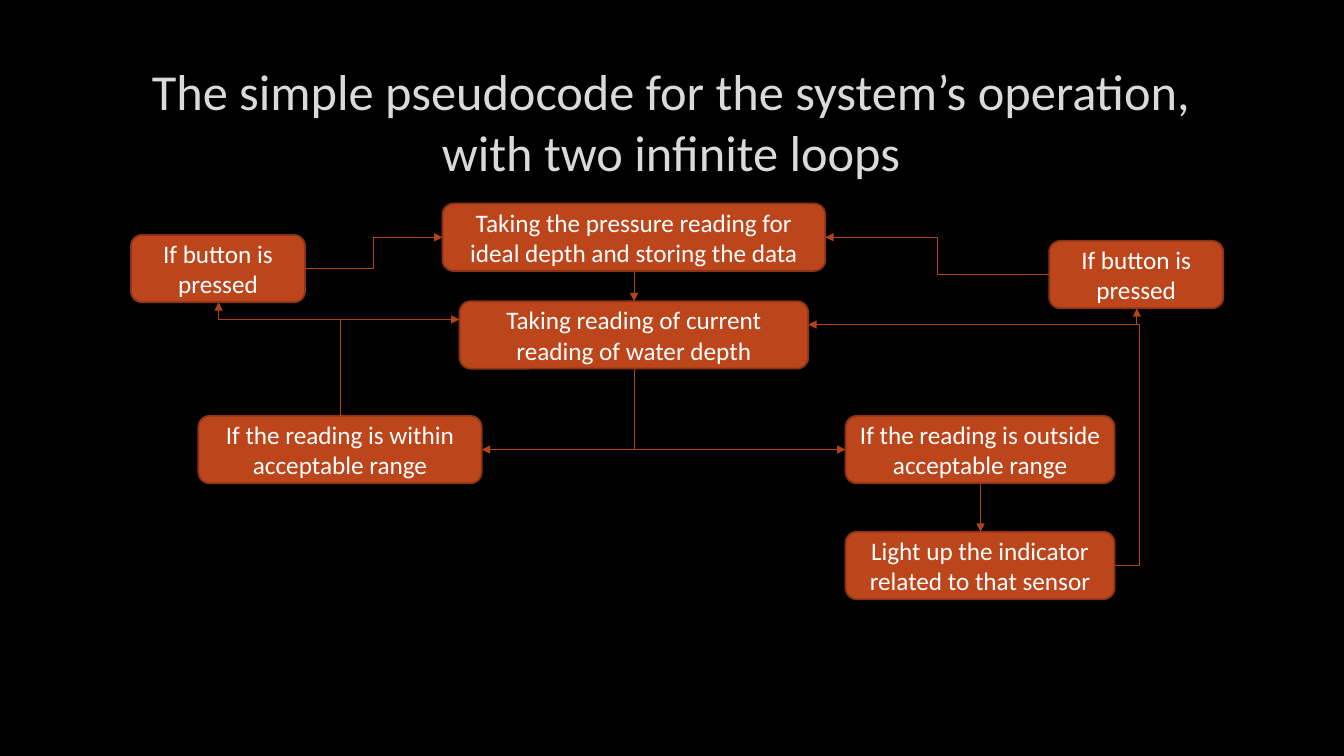
from pptx import Presentation
from pptx.dml.color import RGBColor
from pptx.enum import shapes, text
from pptx.oxml.ns import qn
from pptx.util import Cm, Pt
from lxml import etree

BLACK = RGBColor(0x00, 0x00, 0x00)
WHITE = RGBColor(0xFF, 0xFF, 0xFF)
TITLE_GREY = RGBColor(0xDA, 0xDA, 0xDA)
BOX_FILL = RGBColor(0xBC, 0x45, 0x1B)
BOX_EDGE = RGBColor(0x8B, 0x33, 0x14)
ARROW = RGBColor(0xB4, 0x42, 0x1A)

TITLE = "The simple pseudocode for the system’s operation, with two infinite loops"

STEP_HEIGHT = 1.7  # cm, holds two lines of 18 pt
# text, left, top, width in cm
STEPS = [
    ("Taking the pressure reading for ideal depth and storing the data",
     11.15, 5.13, 9.65),
    ("Taking reading of current reading of water depth", 11.58, 7.59, 8.79),
    ("If the reading is within acceptable range", 5, 10.48, 7.14),
    ("If the reading is outside acceptable range", 21.31, 10.48, 6.78),
    ("Light up the indicator related to that sensor", 21.31, 13.4, 6.78),
    ("If button is pressed", 3.3, 5.92, 4.39),
    ("If button is pressed", 26.44, 6.07, 4.39),
]

# x and y of start and end in cm
STRAIGHT = [
    (15.98, 6.83, 15.98, 7.59),   # pressure to current reading
    (24.71, 12.18, 24.71, 13.4),  # outside range to indicator
    (28.65, 8.18, 28.65, 7.77),   # loop to right button
]
# Corners run sideways first, so these point back at their start
CORNERS_TO_START = [
    (12.14, 11.33, 15.98, 9.29),  # current reading to within range
    (21.31, 11.33, 15.98, 9.29),  # current reading to outside range
    (11.58, 8.05, 8.58, 10.48),   # within range to current reading
]
CORNER_TO_LEFT_BUTTON = (8.58, 8.05, 5.51, 7.62)
BUTTONS_TO_PRESSURE = [
    (26.44, 6.92, 20.8, 5.98),
    (7.69, 6.77, 11.15, 5.98),
]
INDICATOR_LOOP = (28.09, 14.25, 20.37, 8.18)
INDICATOR_BEND = -8200  # bend lies 8.2 % of the width outside the box


def write_text(sp, words, size, color):
    tf = sp.text_frame
    tf.word_wrap = True
    tf.vertical_anchor = text.MSO_ANCHOR.MIDDLE
    tf.margin_top = tf.margin_bottom = 0
    p = tf.paragraphs[0]
    p.alignment = text.PP_ALIGN.CENTER
    r = p.add_run()
    r.text = words
    r.font.color.rgb = color
    for name, value in {"name": "Calibri", "size": Pt(size)}.items():
        setattr(r.font, name, value)


def add_title(s):
    sp = s.shapes.add_textbox(Cm(2.54), Cm(1.7), Cm(28.75), Cm(2.69))
    write_text(sp, TITLE, 36, TITLE_GREY)


def add_step(s, words, left, top, width):
    sp = s.shapes.add_shape(shapes.MSO_SHAPE.ROUNDED_RECTANGLE, Cm(left),
                            Cm(top), Cm(width), Cm(STEP_HEIGHT))
    sp.shadow.inherit = False
    sp.fill.solid()
    sp.fill.fore_color.rgb = BOX_FILL
    sp.line.color.rgb = BOX_EDGE
    sp.line.width = Pt(1.25)
    write_text(sp, words, 18, WHITE)


def add_arrow(s, points, preset="line", arrow_end="tailEnd", bend=None):
    """Draw a connector; tailEnd puts the arrowhead at its last point."""
    cxn = s.shapes.add_connector(shapes.MSO_CONNECTOR.STRAIGHT,
                                 *(Cm(v) for v in points))
    cxn.line.color.rgb = ARROW
    cxn.line.width = Pt(0.75)
    sp_pr = cxn._element.spPr
    etree.SubElement(sp_pr.find(qn("a:ln")), qn("a:" + arrow_end),
                     type="triangle")
    etree.SubElement(sp_pr, qn("a:effectLst"))
    geom = sp_pr.find(qn("a:prstGeom"))
    geom.set("prst", preset)
    if bend is not None:
        guides = geom.find(qn("a:avLst"))
        if guides is None:
            guides = etree.SubElement(geom, qn("a:avLst"))
        etree.SubElement(guides, qn("a:gd"), name="adj1", fmla=f"val {bend}")


def main():
    prs = Presentation()
    prs.slide_width, prs.slide_height = Cm(33.87), Cm(19.05)
    s = prs.slides.add_slide(prs.slide_layouts[6])
    s.background.fill.solid()
    s.background.fill.fore_color.rgb = BLACK

    add_title(s)
    for step in STEPS:
        add_step(s, *step)
    for points in STRAIGHT:
        add_arrow(s, points)
    for points in CORNERS_TO_START:
        add_arrow(s, points, "bentConnector2", "headEnd")
    add_arrow(s, CORNER_TO_LEFT_BUTTON, "bentConnector2")
    for points in BUTTONS_TO_PRESSURE:
        add_arrow(s, points, "bentConnector3")
    add_arrow(s, INDICATOR_LOOP, "bentConnector3", bend=INDICATOR_BEND)

    prs.save("out.pptx")


if __name__ == "__main__":
    main()
